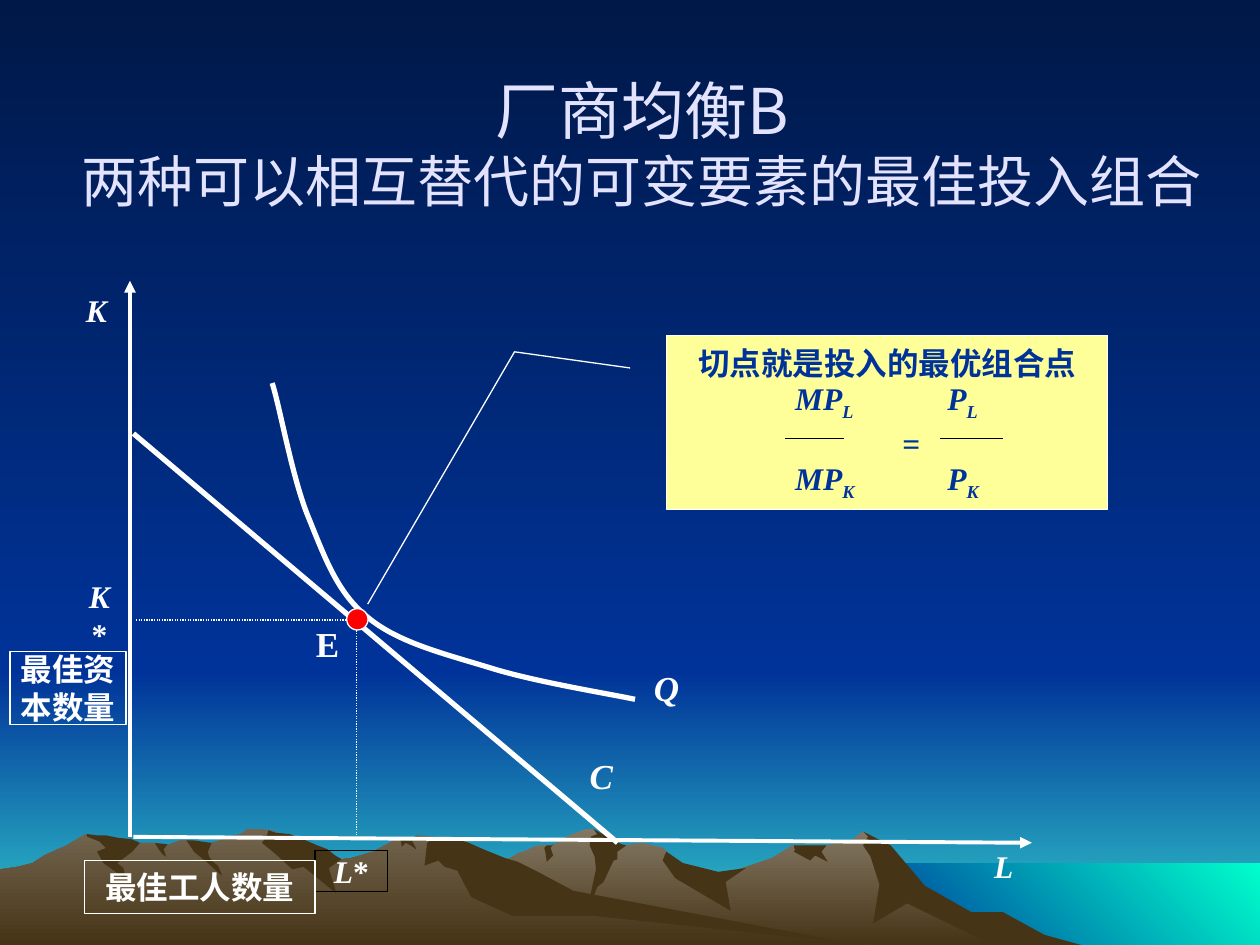
from lxml.etree import SubElement
from pptx import Presentation
from pptx.dml.color import RGBColor
from pptx.enum.dml import MSO_LINE
from pptx.enum.shapes import MSO_CONNECTOR, MSO_SHAPE
from pptx.enum.text import MSO_ANCHOR, PP_ALIGN
from pptx.oxml.ns import qn
from pptx.util import Cm, Pt

COLORS = {
    "night": "001847", "blue": "003399", "teal": "33CCCC", "aqua": "00FFCC",
    "stone": "847864", "earth": "73654F", "soil": "463416", "title": "E3E3FF",
    "white": "FFFFFF", "black": "000000", "red": "FF0000", "note": "FFFF99",
}
SERIF, CHINESE = "Times New Roman", "Noto Sans CJK SC"
GRID = 2.54

RIGHT_RANGE = """802,740 778,727 764,723 723,698 702,671 685,660 676,667 656,671 629,671 613,681
566,697 536,690 529,676 526,673 509,669 497,671 486,673 474,661 471,658 465,658 450,664 448,665
444,668 438,671 430,671 424,672 418,675 412,677 405,681 399,683 394,685 355,698 327,709 277,739
258,750 820,750"""
LEFT_RANGE = """690,750 667,748 432,712 354,665 331,663 327,668 323,668 318,664 296,676 279,681
271,682 260,676 236,681 223,663 219,660 215,659 208,658 196,658 191,662 186,663 178,666 168,669
160,671 148,667 143,667 132,671 128,671 123,669 111,669 94,671 68,662 56,669 53,671 46,674 35,679
26,685 14,688 0,690 0,750"""
RIGHT_SHADOWS = [
    """796,724 771,724 734,703 707,671 685,660 689,664 685,671 691,680 698,702 693,733 720,717
    788,750 858,750 829,742""",
    """471,658 474,662 469,664 468,671 472,680 473,690 465,727 474,704 479,700 487,683 490,682
    490,676 497,671 493,670""",
    "529,676 528,678 526,683 536,697 580,723 576,700 592,689 570,692 542,685",
    "650,671 630,671 631,675 630,676 643,683 647,679 657,684 652,676 656,671",
    "433,677 432,673 434,671 438,671 439,670 437,673 439,679 434,684",
]
LEFT_SHADOWS = [
    """212,663 208,669 219,678 232,690 241,688 267,709 261,689 271,682 266,679 260,674 252,671
    238,665 230,662 219,661 213,659""",
    """370,668 361,666 354,665 344,665 339,669 337,687 348,683 353,688 363,691 374,712 407,727
    472,727 690,750 683,750 455,707 427,692 411,684 401,681 386,675""",
    "318,667 320,666 318,664 323,667 327,667 330,673 330,674 326,671 322,669 319,672",
    """154,667 161,668 168,669 165,676 166,680 169,684 173,687 176,694 176,695 165,685 154,676
    148,667""",
    "133,670 130,674 132,680 129,678 126,674 123,669",
    """109,668 111,669 105,676 93,685 98,689 100,698 82,685 77,676 84,673 79,668 69,664 69,662
    77,663 84,663 94,665 104,666""",
]
ISOQUANT = "216,304 222,322 232,380 245,411 258,443 268,471 292,490 316,510 353,519 389,530 424,541 480,550 504,555"


def rgb(name):
    return RGBColor.from_string(COLORS[name])


def length(units):
    return Cm(round(units * GRID, 2))


def add_text(paragraph, text, size=18, color="white", font=SERIF, bold=True, italic=False, base=0):
    run = paragraph.add_run()
    run.text = text
    run.font.size, run.font.bold, run.font.italic = Pt(size), bold, italic
    run.font.color.rgb = rgb(color)
    run.font.name = font
    properties = run.font._element
    SubElement(properties, qn("a:ea")).set("typeface", CHINESE)
    if base:
        properties.set("baseline", str(base * 1000))


class Canvas:
    def __init__(self, slide):
        self.slide = slide

    def paint(self, fill, color, angle=270):
        if color is None:
            fill.background()
        elif isinstance(color, tuple):
            fill.gradient()
            fill.gradient_angle = angle
            for stop, name in zip(fill.gradient_stops, color):
                stop.color.rgb = rgb(name)
        else:
            fill.solid()
            fill.fore_color.rgb = rgb(color)

    def style(self, shape, fill=None, line=None, width=0.75, angle=270):
        shape.shadow.inherit = False
        self.paint(shape.fill, fill, angle)
        self.paint(shape.line.fill, line)
        if line:
            shape.line.width = Pt(width)
        return shape

    def shape(self, kind, box, **style):
        return self.style(self.slide.shapes.add_shape(kind, *map(length, box)), **style)

    def freeform(self, outline, closed=True, **style):
        points = [tuple(map(int, pair.split(","))) for pair in outline.split()]
        builder = self.slide.shapes.build_freeform(*points[0], scale=Cm(GRID / 100))
        builder.add_line_segments(points[1:], close=closed)
        return self.style(builder.convert_to_shape(), **style)

    def curve(self, outline, **style):
        shape = self.freeform(outline, closed=False, **style)
        segments = shape.element.findall(".//" + qn("a:lnTo"))
        for first in range(0, len(segments), 3):
            bezier = SubElement(segments[first].getparent(), qn("a:cubicBezTo"))
            for segment in segments[first:first + 3]:
                bezier.append(segment[0])
                segment.getparent().remove(segment)

    def line(self, start, end, color="white", width=0.75, arrow=False, dash=None):
        connector = self.slide.shapes.add_connector(
            MSO_CONNECTOR.STRAIGHT, *map(length, start + end))
        connector.line.color.rgb = rgb(color)
        connector.line.width = Pt(width)
        if dash:
            connector.line.dash_style = dash
        if arrow:
            SubElement(connector.line._get_or_add_ln(), qn("a:tailEnd")).set("type", "triangle")
        SubElement(connector.element.spPr, qn("a:effectLst"))

    def text(self, box, *lines, frame=None, wrap=False, spacing=None):
        if frame:
            holder = self.shape(MSO_SHAPE.RECTANGLE, box, line=frame)
        else:
            holder = self.slide.shapes.add_textbox(*map(length, box))
        text_frame = holder.text_frame
        text_frame.word_wrap = wrap
        text_frame.vertical_anchor = MSO_ANCHOR.MIDDLE
        self.fill_frame(text_frame, lines, spacing)

    def fill_frame(self, text_frame, lines, spacing=None):
        for index, runs in enumerate(lines):
            paragraph = text_frame.paragraphs[0] if index == 0 else text_frame.add_paragraph()
            paragraph.alignment = PP_ALIGN.CENTER
            if spacing:
                paragraph.line_spacing = Pt(spacing)
            for text, options in runs:
                add_text(paragraph, text, **options)

    def tabs(self, paragraph, stops):
        paragraph.alignment = PP_ALIGN.LEFT
        tab_list = SubElement(paragraph._p.get_or_add_pPr(), qn("a:tabLst"))
        for stop in stops:
            SubElement(tab_list, qn("a:tab"), pos=str(length(stop)), algn="l")


def draw_landscape(canvas):
    canvas.paint(canvas.slide.background.fill, ("night", "blue"))
    rectangle = MSO_SHAPE.RECTANGLE
    canvas.shape(rectangle, (0, 5.33, 10, 2.17), fill=("blue", "teal"))
    canvas.shape(rectangle, (0, 0, 10, 5.33), fill=("night", "blue"))
    canvas.shape(rectangle, (6.83, 6.85, 3.17, 0.65), fill=("blue", "aqua"), angle=45)
    for mountain, light, shadows in ((RIGHT_RANGE, "stone", RIGHT_SHADOWS),
                                     (LEFT_RANGE, "earth", LEFT_SHADOWS)):
        canvas.freeform(mountain, fill=(light, "soil"))
        for shadow in shadows:
            canvas.freeform(shadow, fill="soil")


def draw_graph(canvas):
    canvas.line((1.06, 3.44), (4.9, 6.69), width=3)
    canvas.curve(ISOQUANT, line="white", width=3)
    canvas.line((1.08, 4.92), (2.75, 4.92), dash=MSO_LINE.ROUND_DOT)
    canvas.line((1.06, 6.64), (8.19, 6.69), width=2.25, arrow=True)
    canvas.line((1.03, 6.64), (1.03, 2.23), width=2.25, arrow=True)
    italic, star = {"italic": True}, ("*", {})
    canvas.text((0.35, 2.29, 0.83, 0.33), [("K", italic)])
    canvas.text((7.55, 6.71, 0.83, 0.33), [("L", italic)])
    canvas.text((0.58, 4.67, 0.42, 0.42), [("K", italic), star])
    canvas.text((2.5, 6.75, 0.58, 0.33), [("L", italic), star], frame="black")
    canvas.text((4.21, 5.92, 1.13, 0.46), [("C", {"size": 20, "italic": True})])
    canvas.text((5.08, 5.33, 0.42, 0.25), [("Q", {"size": 20, "italic": True})])
    canvas.text((2.39, 4.98, 0.42, 0.25), [("E", {"size": 20})])
    canvas.line((2.83, 4.92), (2.83, 6.67), dash=MSO_LINE.ROUND_DOT)
    canvas.shape(MSO_SHAPE.FLOWCHART_CONNECTOR, (2.75, 4.83, 0.17, 0.17), fill="red", line="white")
    canvas.text((0.67, 6.83, 1.83, 0.42), [("最佳工人数量", {})], frame="white")
    canvas.text((0.08, 5.17, 0.92, 0.58), [("最佳资", {})], [("本数量", {})],
                frame="white", spacing=22)


def draw_callout(canvas):
    callout = canvas.shape(MSO_SHAPE.LINE_CALLOUT_2, (5.29, 2.66, 3.5, 1.38), fill="note", line="white")
    for index, value in enumerate((0.188, -0.083, 0.095, -0.345, 1.544, -0.678)):
        callout.adjustments[index] = value
    plain = {"color": "blue"}
    italic = {**plain, "italic": True}
    lower = {**italic, "base": -25}

    def ratio_row(factor):
        return [("\tMP", italic), (factor, lower), ("\tP", italic), (factor, lower)]

    text_frame = callout.text_frame
    text_frame.word_wrap = True
    text_frame.vertical_anchor = MSO_ANCHOR.TOP
    rows = [[("切点就是投入的最优组合点", plain)], ratio_row("L"), [("\t=", plain)], ratio_row("K")]
    canvas.fill_frame(text_frame, rows, spacing=23)
    for paragraph, stops in zip(text_frame.paragraphs[1:], ((0.92, 2.13), (1.77,), (0.92, 2.13))):
        canvas.tabs(paragraph, stops)
    for left, right in ((6.23, 6.7), (7.46, 7.96)):
        canvas.line((left, 3.48), (right, 3.48), color="black")


def main():
    presentation = Presentation()
    presentation.slide_width, presentation.slide_height = length(10), length(7.5)
    canvas = Canvas(presentation.slides.add_slide(presentation.slide_layouts[6]))
    draw_landscape(canvas)
    heading = {"font": CHINESE, "color": "title", "bold": False}
    canvas.text((0.44, 0.75, 9.31, 0.83), [("厂商均衡B", {**heading, "size": 36})],
                [("两种可以相互替代的可变要素的最佳投入组合", {**heading, "size": 32})],
                wrap=True, spacing=38)
    draw_graph(canvas)
    draw_callout(canvas)
    presentation.save("out.pptx")


if __name__ == "__main__":
    main()
